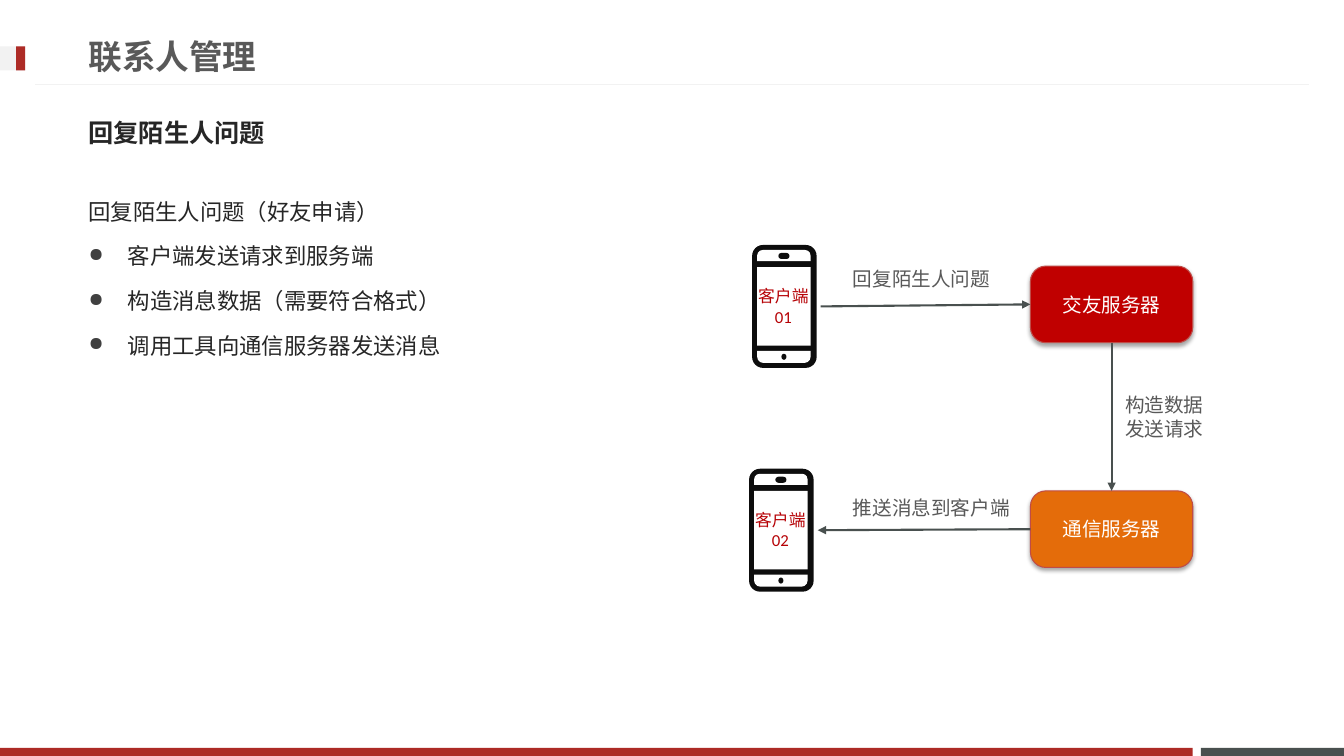
from dataclasses import dataclass

from lxml import etree
from pptx import Presentation
from pptx import util as u
from pptx.dml import color
from pptx.enum import lang, shapes, text
from pptx.oxml import ns

SHAPE = shapes.MSO_SHAPE
ANCHOR = text.MSO_ANCHOR
ALIGN = text.PP_ALIGN
RED, GREY, DARK, PALE, INK = "AD2B26", "595959", "49504F", "F2F2F2", "262626"
BLACK, WHITE = "0D0D0D", "FFFFFF"


@dataclass
class Style:
    size: float
    font: str
    color: str
    bold: bool = False


@dataclass
class Block:
    lines: list[str]
    at: tuple[float, float, float, float]
    style: Style
    anchor: int = ANCHOR.TOP
    align: int = ALIGN.LEFT
    wrap: bool = True
    before: float = 0
    spacing: float = 1.0
    bullets_from: int = 99


@dataclass
class Part:
    kind: int
    at: tuple[float, float, float, float]
    fill: str
    adjust: tuple[float, ...] = ()


@dataclass
class Server:
    name: str
    top: float
    fill: str


@dataclass
class Phone:
    number: str
    left: float
    top: float


def rgb(value: str) -> color.RGBColor:
    return color.RGBColor.from_string(value)


def add_xml(parent, tag: str, **attributes: str):
    return etree.SubElement(parent, ns.qn(tag), attributes)


def add_span(para, words: str, style: Style) -> None:
    span = para.add_run()
    span.text = words
    font = span.font
    font.size, font.bold, font.name = u.Pt(style.size), style.bold, style.font
    font.color.rgb = rgb(style.color)
    font.language_id = lang.MSO_LANGUAGE_ID.SIMPLIFIED_CHINESE
    add_xml(span._r.get_or_add_rPr(), "a:ea", typeface=style.font)


def add_bullet(para) -> None:
    props = para._p.get_or_add_pPr()
    props.set("marL", str(u.Inches(0.39)))
    props.set("indent", str(u.Inches(-0.39)))
    add_xml(add_xml(props, "a:buClr"), "a:srgbClr", val="404040")
    add_xml(props, "a:buSzPct", val="85000")
    add_xml(props, "a:buChar", char="●")


def add_block(page, block: Block) -> None:
    box = page.shapes.add_textbox(*map(u.Inches, block.at))
    frame = box.text_frame
    frame.word_wrap, frame.vertical_anchor = block.wrap, block.anchor
    for index, line in enumerate(block.lines):
        para = frame.add_paragraph() if index else frame.paragraphs[0]
        para.alignment, para.line_spacing = block.align, block.spacing
        para.space_before = u.Pt(block.before)
        if index >= block.bullets_from:
            add_bullet(para)
        add_span(para, line, block.style)


def add_part(holder, part: Part, left: float = 0, top: float = 0):
    x, y, width, height = part.at
    shape = holder.shapes.add_shape(
        part.kind, *map(u.Inches, (left + x, top + y, width, height)))
    shape.shadow.inherit = False
    shape.fill.solid()
    shape.fill.fore_color.rgb = rgb(part.fill)
    shape.line.fill.background()
    for index, value in enumerate(part.adjust):
        shape.adjustments[index] = value
    return shape


def add_line(page, start: tuple[float, float], end: tuple[float, float],
             stroke: str, width: float, arrow: bool = False):
    line = page.shapes.add_connector(
        shapes.MSO_CONNECTOR.STRAIGHT, *map(u.Inches, start + end))
    line.line.color.rgb = rgb(stroke)
    line.line.width = u.Pt(width)
    if arrow:
        add_xml(line.line._get_or_add_ln(), "a:tailEnd", type="triangle")
    add_xml(line._element.spPr, "a:effectLst")
    return line


def add_server(page, server: Server):
    box = add_part(page, Part(SHAPE.ROUNDED_RECTANGLE,
                              (SERVER_LEFT, server.top, 1.61, 0.76), server.fill, (0.2,)))
    box.line.color.rgb = rgb("BF4C48")
    box.line.width = u.Pt(0.75)
    effects = box._element.spPr.find(ns.qn("a:effectLst"))
    shadow = add_xml(effects, "a:outerShdw", blurRad=str(u.Pt(3.1)), dist=str(u.Pt(1.8)),
                     dir="5400000", rotWithShape="0")
    add_xml(add_xml(shadow, "a:srgbClr", val="000000"), "a:alpha", val="35000")
    box.text_frame.vertical_anchor = ANCHOR.MIDDLE
    para = box.text_frame.paragraphs[0]
    para.alignment = ALIGN.CENTER
    add_span(para, server.name, Style(14, "Calibri", WHITE))
    return box


def add_phone(page, phone: Phone) -> None:
    group = page.shapes.add_group_shape()
    for part in PHONE_PARTS:
        add_part(group, part, phone.left, phone.top)
    add_block(page, Block(["客户端", phone.number],
                          (phone.left - 0.05, phone.top + 0.43, 0.72, 0.36),
                          Style(12, "Calibri", "B60206"), ANCHOR.MIDDLE, ALIGN.CENTER,
                          wrap=False))


FRAME = [
    Part(SHAPE.RECTANGLE, (11.91, 7.42, 1.42, 0.08), DARK),
    Part(SHAPE.RECTANGLE, (0, 7.42, 11.83, 0.08), RED),
    Part(SHAPE.RECTANGLE, (0, 0.46, 0.25, 0.24), PALE),
    Part(SHAPE.RECTANGLE, (0.16, 0.46, 0.09, 0.24), RED),
]
PHONE_PARTS = [
    Part(SHAPE.ROUNDED_RECTANGLE, (0, 0, 0.64, 1.22), BLACK, (0.17,)),
    Part(SHAPE.ROUND_2_SAME_RECTANGLE, (0.05, 0.05, 0.53, 0.11), WHITE, (0.5, 0)),
    Part(SHAPE.RECTANGLE, (0.05, 0.22, 0.53, 0.78), WHITE),
    Part(SHAPE.ROUND_2_SAME_RECTANGLE, (0.05, 1.05, 0.53, 0.12), WHITE, (0, 0.5)),
    Part(SHAPE.ROUNDED_RECTANGLE, (0.26, 0.08, 0.11, 0.06), BLACK, (0.5,)),
    Part(SHAPE.OVAL, (0.29, 1.08, 0.05, 0.06), BLACK),
]
PHONES = [Phone("01", 7.46, 2.43), Phone("02", 7.43, 4.65)]
SERVER_LEFT = 10.22
LABEL = Style(14, "Noto Sans Mono", GREY)
BLOCKS = [
    Block(["联系人管理"], (0.78, 0.27, 9.59, 0.57),
          Style(24, "Noto Sans Mono", GREY, True), ANCHOR.MIDDLE),
    Block(["回复陌生人问题"], (0.78, 1.03, 11.76, 0.57),
          Style(18, "Noto Sans CJK JP", INK, True), ANCHOR.MIDDLE, before=3.6),
    Block(["回复陌生人问题（好友申请）", "客户端发送请求到服务端",
           "构造消息数据（需要符合格式）", "调用工具向通信服务器发送消息"],
          (0.78, 1.78, 11.76, 4.61), Style(16, "Calibri", INK),
          before=3.2, spacing=1.5, bullets_from=1),
    Block(["回复陌生人问题"], (8.36, 2.6, 1.58, 0.34), LABEL, wrap=False),
    Block(["构造数据", "发送请求"], (11.06, 3.85, 0.99, 0.57), LABEL, wrap=False),
    Block(["推送消息到客户端"], (8.36, 4.87, 1.77, 0.34), LABEL, wrap=False),
]


def main() -> None:
    deck = Presentation()
    deck.slide_width, deck.slide_height = u.Inches(13.33), u.Inches(7.5)
    page = deck.slides.add_slide(deck.slide_layouts[6])

    # Page frame
    for part in FRAME:
        add_part(page, part)
    add_line(page, (12.98, 0.84), (0.35, 0.84), PALE, 0.75)

    # Phones and servers
    for phone in PHONES:
        add_phone(page, phone)
    push_server = add_server(page, Server("通信服务器", 4.87, "E46C0A"))
    app_server = add_server(page, Server("交友服务器", 2.64, "C00000"))

    # Message flow
    request = add_line(page, (8.14, 3.04), (SERVER_LEFT, 3.02), DARK, 1.5, True)
    request.end_connect(app_server, 1)
    forward = add_line(page, (11.02, 3.4), (11.02, 4.87), DARK, 1.5, True)
    forward.begin_connect(app_server, 2)
    forward.end_connect(push_server, 0)
    push = add_line(page, (SERVER_LEFT, 5.25), (8.11, 5.26), DARK, 1.5, True)
    push.begin_connect(push_server, 1)

    # Title, body and labels
    for block in BLOCKS:
        add_block(page, block)

    deck.save("out.pptx")


if __name__ == "__main__":
    main()
